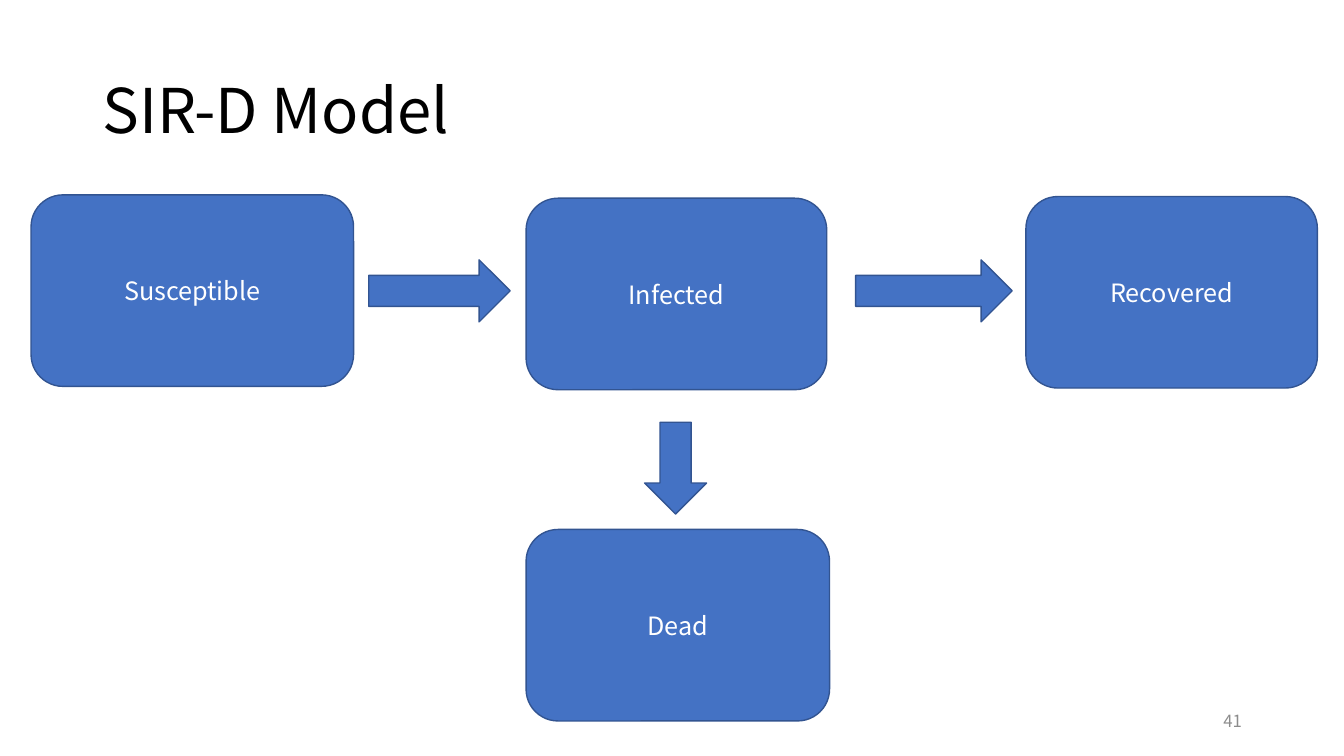
from dataclasses import dataclass

from pptx import Presentation
from pptx.dml.color import RGBColor
from pptx.enum import shapes, text
from pptx.util import Pt


@dataclass(frozen=True)
class Theme:
    font: str = "Noto Sans CJK JP"
    fill: RGBColor = RGBColor(0x44, 0x72, 0xC4)
    outline: RGBColor = RGBColor(0x32, 0x54, 0x91)
    title: RGBColor = RGBColor(0, 0, 0)
    label: RGBColor = RGBColor(0xFF, 0xFF, 0xFF)
    number: RGBColor = RGBColor(0x8C, 0x8C, 0x8C)
    title_size: int = 44
    label_size: int = 18
    number_size: int = 12


THEME = Theme()
BOX_HEIGHT = 136.8
ARROW_BREADTH = 44.3


def write(holder, words, size, color, align):
    """Put one vertically centred line of text into a shape."""
    frame = holder.text_frame
    frame.word_wrap = True
    frame.vertical_anchor = text.MSO_ANCHOR.MIDDLE
    line = frame.paragraphs[0]
    line.alignment = align
    run = line.add_run()
    run.text = words
    run.font.name = THEME.font
    run.font.size = Pt(size)
    run.font.color.rgb = color
    return line


def add_label(slide, words, left, top, width, height, size, color, align):
    label = slide.shapes.add_textbox(Pt(left), Pt(top), Pt(width), Pt(height))
    return write(label, words, size, color, align)


def add_block(slide, preset, left, top, width, height):
    block = slide.shapes.add_shape(preset, Pt(left), Pt(top), Pt(width), Pt(height))
    block.shadow.inherit = False
    block.fill.solid()
    block.fill.fore_color.rgb = THEME.fill
    block.line.color.rgb = THEME.outline
    block.line.width = Pt(1)
    return block


def add_compartment(slide, name, left, top, width):
    compartment = add_block(slide, shapes.MSO_SHAPE.ROUNDED_RECTANGLE,
                            left, top, width, BOX_HEIGHT)
    write(compartment, name, THEME.label_size, THEME.label, text.PP_ALIGN.CENTER)


def main():
    deck = Presentation()
    deck.slide_width, deck.slide_height = Pt(960), Pt(540)
    slide = deck.slides.add_slide(deck.slide_layouts[6])

    # Title and slide number
    title = add_label(slide, "SIR-D Model", 66.2, 28.8, 828, 104.4,
                      THEME.title_size, THEME.title, text.PP_ALIGN.LEFT)
    title.line_spacing = 0.9
    add_label(slide, "41", 678.2, 500.4, 216, 28.8,
              THEME.number_size, THEME.number, text.PP_ALIGN.RIGHT)

    # Compartments of the model
    for name, left, top, width in (
        ("Susceptible", 22.2, 139.2, 230.4),
        ("Infected", 375.8, 141.6, 214.8),
        ("Recovered", 732.8, 140.4, 208.2),
        ("Dead", 375.8, 378.2, 216.8),
    ):
        add_compartment(slide, name, left, top, width)

    # Transitions: two to the right, one down
    for left, length in ((263.4, 101), (611.2, 111.8)):
        add_block(slide, shapes.MSO_SHAPE.RIGHT_ARROW,
                  left, 185.6, length, ARROW_BREADTH)
    add_block(slide, shapes.MSO_SHAPE.DOWN_ARROW, 460.4, 301.6, ARROW_BREADTH, 65.6)

    deck.save("out.pptx")


if __name__ == "__main__":
    main()
